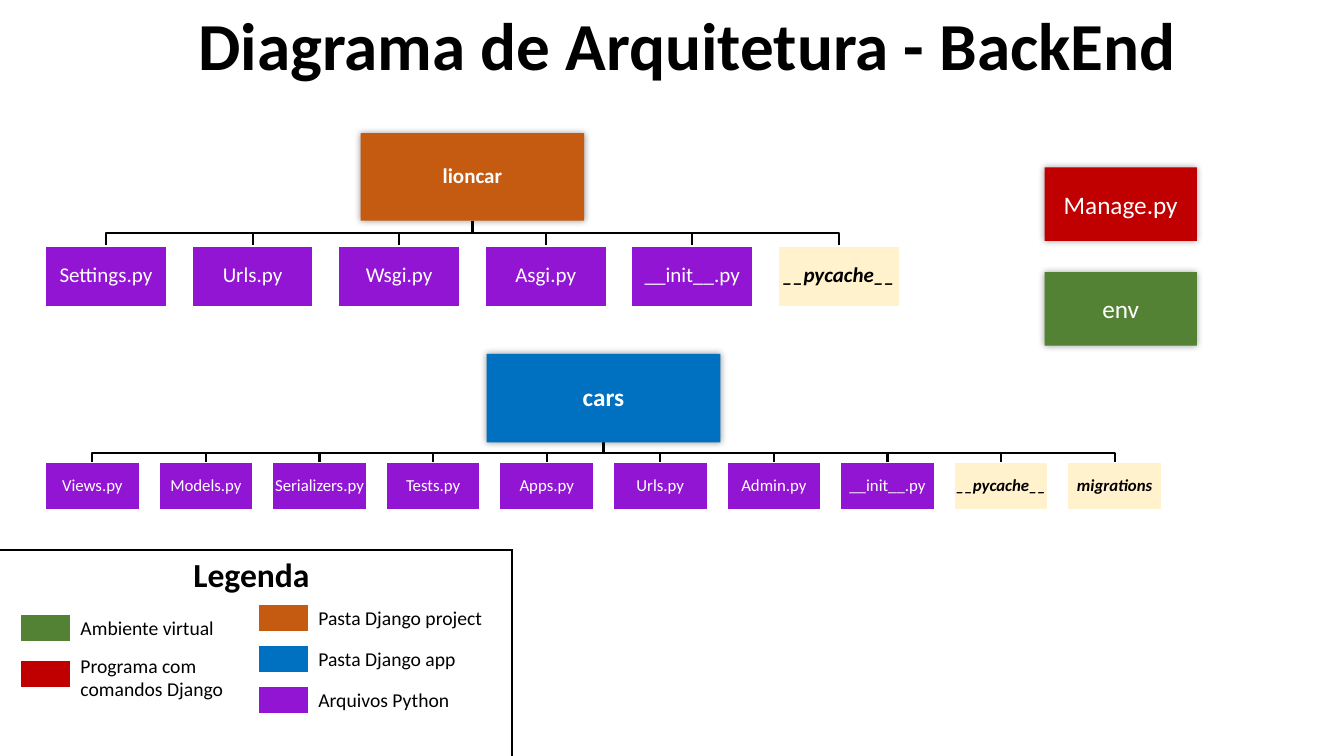
import pptx
import pptx.util
import pptx.dml.color
import pptx.enum.shapes
import pptx.enum.text
import pptx.oxml
import pptx.oxml.ns

COLORS = {
    "black": "000000", "white": "FFFFFF", "project": "C55A11", "app": "0070C0",
    "python": "9315D4", "folder": "FFF2CC", "env": "548235", "command": "C00000",
}
RGB = {name: pptx.dml.color.RGBColor.from_string(code) for name, code in COLORS.items()}
MIDDLE = pptx.enum.text.MSO_ANCHOR.MIDDLE
CENTER = pptx.enum.text.PP_ALIGN.CENTER
SHADOW = (
    f'<a:effectLst {pptx.oxml.ns.nsdecls("a")}><a:outerShdw blurRad="63500" dist="0">'
    f'<a:srgbClr val="{COLORS["black"]}"><a:alpha val="40000"/></a:srgbClr>'
    '</a:outerShdw></a:effectLst>'
)

deck = pptx.Presentation()
deck.slide_width = pptx.util.Inches(13.33)
deck.slide_height = pptx.util.Inches(7.5)
slide = deck.slides.add_slide(deck.slide_layouts[6])
shapes = slide.shapes

# Grid: 100 columns by 100 rows
COL = deck.slide_width / 100
ROW = deck.slide_height / 100


def write(holder, text, size, color="black", bold=False, italic=False,
          align=None, anchor=MIDDLE, spacing=None, inset=None):
    frame = holder.text_frame
    frame.word_wrap = True
    frame.vertical_anchor = anchor
    if inset is not None:
        frame.margin_left = frame.margin_right = inset
        frame.margin_top = frame.margin_bottom = inset
    paragraph = frame.paragraphs[0]
    paragraph.alignment = align
    paragraph.line_spacing = spacing
    run = paragraph.add_run()
    run.text = text
    run.font.name = "Calibri"
    run.font.size = pptx.util.Pt(size)
    run.font.bold = bold
    run.font.italic = italic
    run.font.color.rgb = RGB[color]


def add_box(left, top, width, height, fill, raised=False):
    box = shapes.add_shape(pptx.enum.shapes.MSO_SHAPE.RECTANGLE,
                           round(left), round(top), round(width), round(height))
    box.fill.solid()
    box.fill.fore_color.rgb = RGB[fill]
    if raised:
        box.line.fill.background()
        box._element.spPr.append(pptx.oxml.parse_xml(SHADOW))
    else:
        box.shadow.inherit = False
        box.line.color.rgb = RGB["white"]
        box.line.width = pptx.util.Pt(1)
    return box


# Title
title = shapes.add_textbox(round(14.03 * COL), round(1.2 * ROW), round(75 * COL), round(10.53 * ROW))
write(title, "Diagrama de Arquitetura - BackEnd", 48, bold=True, spacing=0.9)

# Trees: name, colour, size, parent top, width and height, files top, row span, file size, files, folders
trees = [
    ("lioncar", "project", 15, 17.6, 16.65, 11.6, 32.53, 63.54, 15,
     ["Settings.py", "Urls.py", "Wsgi.py", "Asgi.py", "__init__.py"], ["__pycache__"]),
    ("cars", "app", 18, 46.8, 17.4, 11.73, 61.2, 83.05, 12,
     ["Views.py", "Models.py", "Serializers.py", "Tests.py", "Apps.py", "Urls.py",
      "Admin.py", "__init__.py"], ["__pycache__", "migrations"]),
]
TREE_LEFT = 3.38 * COL
GAP = 0.21  # share of a file box
INSET = pptx.util.Inches(0.01)

for name, color, size, top, width, height, files_top, span, file_size, files, folders in trees:
    entries = files + folders
    file_width = span * COL / (len(entries) + GAP * (len(entries) - 1))
    lefts = [TREE_LEFT + i * file_width * (1 + GAP) for i in range(len(entries))]
    trunk_x = TREE_LEFT + span * COL / 2
    trunk_y, branch_y = (top + height) * ROW, files_top * ROW
    bend_y = (trunk_y + branch_y) / 2

    # Branches
    for left in lefts:
        file_x = left + file_width / 2
        outline = shapes.build_freeform(round(trunk_x), round(trunk_y))
        outline.add_line_segments([(round(trunk_x), round(bend_y)), (round(file_x), round(bend_y)),
                                   (round(file_x), round(branch_y))], close=False)
        branch = outline.convert_to_shape()
        branch.fill.background()
        branch.line.color.rgb = RGB["black"]
        branch.line.width = pptx.util.Pt(1.5)
        branch.shadow.inherit = False

    # Parent folder
    parent = add_box(trunk_x - width * COL / 2, top * ROW, width * COL, height * ROW, color, True)
    write(parent, name, size, "white", bold=True, align=CENTER, spacing=0.9, inset=INSET)

    # Files and subfolders
    for left, entry in zip(lefts, entries):
        is_folder = entry in folders
        leaf = add_box(left, branch_y, file_width, file_width / 2, "folder" if is_folder else "python")
        write(leaf, entry, file_size, "black" if is_folder else "white", bold=is_folder,
              italic=is_folder, align=CENTER, spacing=0.9, inset=INSET)

# Standalone items
for name, color, top in [("env", "env", 36), ("Manage.py", "command", 22.13)]:
    item = add_box(77.72 * COL, top * ROW, 11.33 * COL, 9.73 * ROW, color, True)
    write(item, name, 18, "white", align=CENTER)

# Legend frame
for x1, y1, x2, y2 in [(0, 72.8, 38.18, 72.8), (38.1, 72.93, 38.1, 100)]:
    border = shapes.add_connector(pptx.enum.shapes.MSO_CONNECTOR.STRAIGHT, round(x1 * COL),
                                  round(y1 * ROW), round(x2 * COL), round(y2 * ROW))
    border.line.color.rgb = RGB["black"]
    border.line.width = pptx.util.Pt(1.5)
    border._element.spPr.append(pptx.oxml.parse_xml(f'<a:effectLst {pptx.oxml.ns.nsdecls("a")}/>'))

# Legend heading
heading = shapes.add_textbox(round(13.65 * COL), round(73.6 * ROW), round(11.1 * COL), round(5.33 * ROW))
write(heading, "Legenda", 24, bold=True, spacing=0.9)

# Legend columns: left, first top, step, label width, entries with label rise and height
legend = [
    (19.2, 80, 5.4, 13.88, [("project", "Pasta Django project", 0.5, 4.53),
                            ("app", "Pasta Django app", 0.5, 4.53),
                            ("python", "Arquivos Python", 0.5, 4.53)]),
    (1.5, 81.33, 6, 12.38, [("env", "Ambiente virtual", 0.5, 4.53),
                            ("command", "Programa com comandos Django", 1.5, 7.6)]),
]
SWATCH = 3.75
for left, first_top, step, label_width, entries in legend:
    for i, (color, meaning, rise, label_height) in enumerate(entries):
        top = first_top + i * step
        add_box(left * COL, top * ROW, SWATCH * COL, 3.6 * ROW, color)
        label = shapes.add_textbox(round((left + SWATCH) * COL), round((top - rise) * ROW),
                                   round(label_width * COL), round(label_height * ROW))
        write(label, meaning, 14, anchor=pptx.enum.text.MSO_ANCHOR.TOP)

deck.save("out.pptx")
